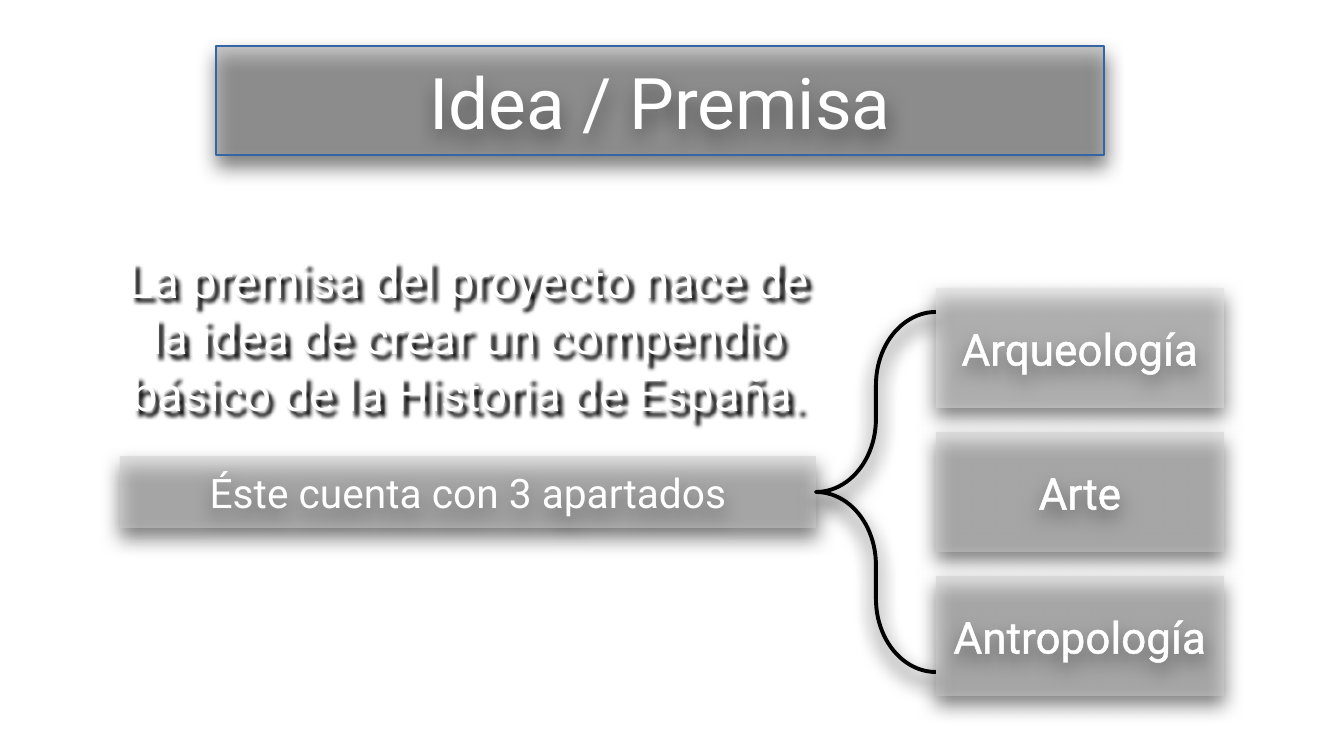
from lxml import etree
from pptx import Presentation
from pptx.dml.color import RGBColor
from pptx.enum.shapes import MSO_SHAPE
from pptx.enum.text import MSO_ANCHOR, PP_ALIGN
from pptx.oxml.ns import qn
from pptx.util import Emu, Pt

PX = 914400 / 122
FONT = "Roboto"
WHITE = RGBColor(0xFF, 0xFF, 0xFF)
BLACK = RGBColor(0x00, 0x00, 0x00)
BLUE = RGBColor(0x34, 0x65, 0xA4)
TITLE_GRAY = RGBColor(0x99, 0x99, 0x99)
GRAY = RGBColor(0xCC, 0xCC, 0xCC)
LIGHT_GRAY = RGBColor(0xDD, 0xDD, 0xDD)
RECTANGLE = MSO_SHAPE.RECTANGLE
LEFT_BRACE = MSO_SHAPE.LEFT_BRACE
MIDDLE = MSO_ANCHOR.MIDDLE
CENTER = PP_ALIGN.CENTER


def px(value):
    """Turn pixels into EMU."""
    return Emu(round(value * PX))


def add_color(parent, color, alpha=100):
    """Append an RGB colour with an opacity in percent."""
    element = etree.SubElement(parent, qn("a:srgbClr"), val=str(color))
    etree.SubElement(element, qn("a:alpha"), val=str(alpha * 1000))


def add_shadow(shape, blur=12, distance=5.8, degrees=90):
    """Give the shape a soft black shadow, with lengths in points."""
    shape.shadow.inherit = False
    effects = shape.element.spPr.find(qn("a:effectLst"))
    shadow = etree.SubElement(
        effects, qn("a:outerShdw"), blurRad=str(Pt(blur)),
        dist=str(Pt(distance)), dir=str(degrees * 60000),
        algn="ctr", rotWithShape="0")
    add_color(shadow, BLACK)


def set_text(shape, text, size, outlined=False):
    """Write centred white text, optionally with a thin white outline."""
    frame = shape.text_frame
    frame.word_wrap = True
    frame.vertical_anchor = MIDDLE
    paragraph = frame.paragraphs[0]
    paragraph.alignment = CENTER
    run = paragraph.add_run()
    run.text = text
    run.font.name = FONT
    run.font.size = Pt(size)
    run.font.color.rgb = WHITE
    if outlined:
        outline = etree.Element(qn("a:ln"), w=str(Pt(0.75)))
        add_color(etree.SubElement(outline, qn("a:solidFill")), WHITE)
        run.font.fill
        run._r.get_or_add_rPr().insert(0, outline)


def add_panel(slide, box, color, text, size, line=None, outlined=False):
    """Add a half-transparent rectangle with a shadow and text."""
    shape = slide.shapes.add_shape(RECTANGLE, *map(px, box))
    shape.fill.solid()
    shape.fill.fore_color.rgb = color
    fill = shape.element.spPr.find(qn("a:solidFill"))
    etree.SubElement(fill[0], qn("a:alpha"), val="50000")
    if line is None:
        shape.line.fill.background()
    else:
        shape.line.color.rgb = line
        shape.line.width = Pt(0)
    add_shadow(shape)
    set_text(shape, text, size, outlined)


def add_statement(slide, box, text, size):
    """Add free text whose letters cast a shadow."""
    shape = slide.shapes.add_textbox(*map(px, box))
    set_text(shape, text, size)
    add_shadow(shape, 2, 3.5, 45)


def add_brace(slide, box):
    """Add the brace that opens towards the sections."""
    shape = slide.shapes.add_shape(LEFT_BRACE, *map(px, box))
    shape.adjustments[0] = 0.61
    shape.adjustments[1] = 0.5
    shape.fill.background()
    shape.line.color.rgb = BLACK
    shape.line.width = Pt(2.3)
    add_shadow(shape)


def main():
    """Build and save the slide."""
    presentation = Presentation()
    presentation.slide_width = px(1344)
    presentation.slide_height = px(756)
    slide = presentation.slides.add_slide(presentation.slide_layouts[6])

    add_panel(slide, (216, 46, 888, 109), TITLE_GRAY, "Idea / Premisa", 42,
              line=BLUE)
    add_statement(slide, (96, 216, 744, 240),
                  "La premisa del proyecto nace de la idea de crear "
                  "un compendio básico de la Historia de España.", 28)
    add_panel(slide, (120, 456, 696, 72), GRAY,
              "Éste cuenta con 3 apartados", 24)
    sections = [("Arqueología", LIGHT_GRAY), ("Arte", GRAY),
                ("Antropología", GRAY)]
    for index, (name, color) in enumerate(sections):
        add_panel(slide, (936, 288 + 144 * index, 288, 120), color, name, 26,
                  outlined=True)
    add_brace(slide, (816, 312, 120, 360))

    presentation.save("out.pptx")


if __name__ == "__main__":
    main()
